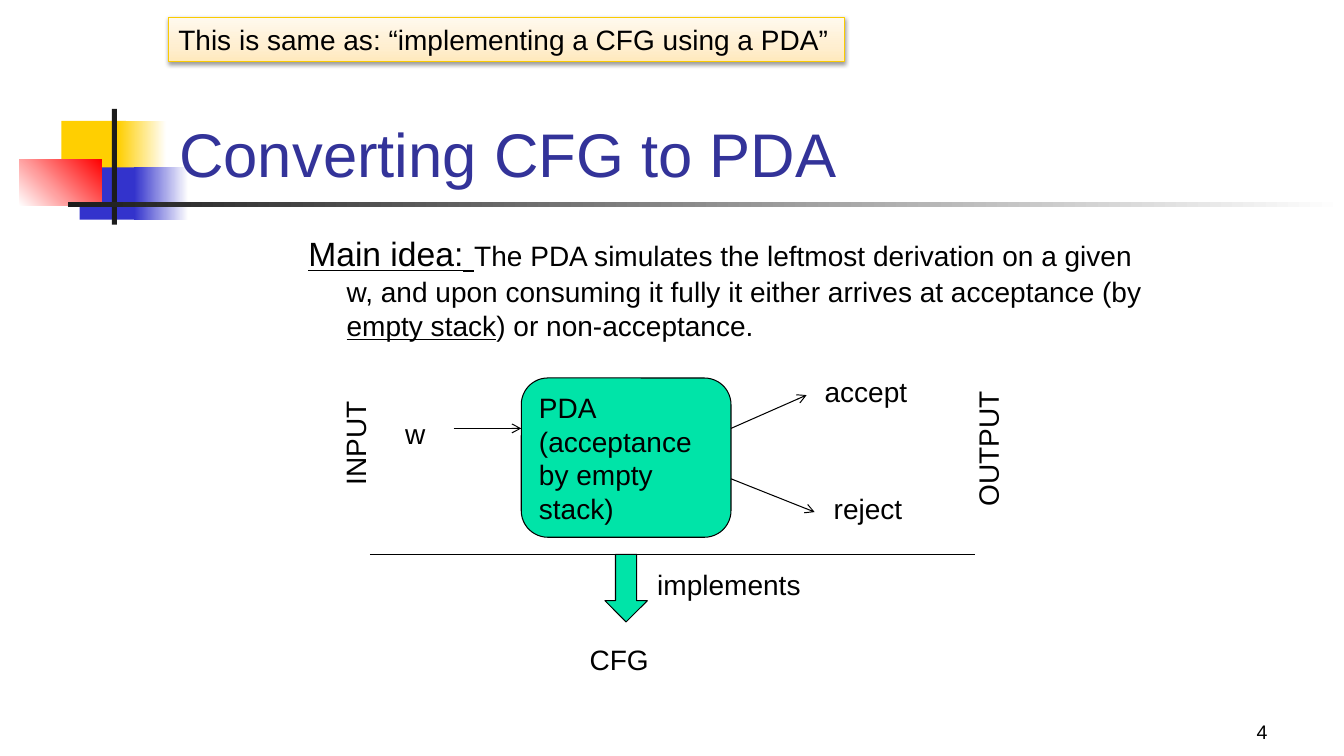
"""Build the slide on converting a context-free grammar to a pushdown automaton."""
import pptx
import pptx.dml.color
import pptx.enum.shapes
import pptx.enum.text
import pptx.oxml
import pptx.oxml.ns
import pptx.util
from lxml import etree

Inches = pptx.util.Inches
Pt = pptx.util.Pt
qn = pptx.oxml.ns.qn
Shape = pptx.enum.shapes.MSO_SHAPE
Anchor = pptx.enum.text.MSO_ANCHOR
Align = pptx.enum.text.PP_ALIGN

BLACK, WHITE, INK = "000000", "FFFFFF", "1C1C1C"
YELLOW, BLUE, RED, GREEN = "FFCF01", "3333CC", "FF0000", "00E4A8"


def rgb(value):
    return pptx.dml.color.RGBColor.from_string(value)


def write(para, text, size=20, color=BLACK, underline=None):
    for position, line in enumerate(text.split("\n")):
        if position:
            para.add_line_break()
        span = para.add_run()
        span.text = line
        span.font.name = "Arial"
        span.font.size = Pt(size)
        span.font.color.rgb = rgb(color)
        span.font.underline = underline


class Page:
    def __init__(self, deck):
        self.shapes = deck.slides.add_slide(deck.slide_layouts[6]).shapes
        self.line_width = Pt(0.75)

    def text(self, place, content="", wrap=False, anchor=Anchor.TOP,
             align=Align.LEFT, rotation=0, **style):
        box = self.shapes.add_textbox(*map(Inches, place))
        box.rotation = rotation
        return self.fill_text(box, content, wrap, anchor, align, **style)

    def fill_text(self, box, content, wrap=True, anchor=Anchor.MIDDLE,
                  align=Align.LEFT, **style):
        frame = box.text_frame
        frame.word_wrap = wrap
        frame.vertical_anchor = anchor
        para = frame.paragraphs[0]
        para.alignment = align
        if content:
            write(para, content, **style)
        return para

    def shape(self, place, fill, kind=Shape.RECTANGLE, line=None):
        shape = self.shapes.add_shape(kind, *map(Inches, place))
        shape.shadow.inherit = False
        shape.fill.solid()
        shape.fill.fore_color.rgb = rgb(fill)
        if line:
            shape.line.color.rgb = rgb(line)
            shape.line.width = self.line_width
        else:
            shape.line.fill.background()
        return shape

    def gradient(self, place, stops, angle=0, line=None):
        shape = self.shape(place, WHITE, line=line)
        shape.fill.gradient()
        shape.fill.gradient_angle = (360 - angle) % 360
        stop_list = shape.element.spPr.find(".//" + qn("a:gsLst"))
        for stop in list(stop_list):
            stop_list.remove(stop)
        for position, color in stops:
            stop = etree.SubElement(stop_list, qn("a:gs"), pos=str(position * 1000))
            etree.SubElement(stop, qn("a:srgbClr"), val=color)
        return shape

    def line(self, start, end, arrow=True):
        line = self.shapes.add_connector(
            pptx.enum.shapes.MSO_CONNECTOR.STRAIGHT, *map(Inches, start + end))
        line.line.color.rgb = rgb(BLACK)
        line.line.width = self.line_width
        if arrow:
            etree.SubElement(line.line._get_or_add_ln(), qn("a:tailEnd"), type="arrow")
        etree.SubElement(line.element.spPr, qn("a:effectLst"))

    def cast_shadow(self, shape):
        effects = shape.element.spPr.find(qn("a:effectLst"))
        shadow = etree.SubElement(
            effects, qn("a:outerShdw"), blurRad=str(Pt(3.1)), dist=str(Pt(1.6)),
            dir="5400000", rotWithShape="0")
        color = etree.SubElement(shadow, qn("a:srgbClr"), val=BLACK)
        etree.SubElement(color, qn("a:alpha"), val="38000")


def draw_ornament(page):
    page.shape((0.61, 1.2, 0.64, 0.52), YELLOW)
    page.gradient((1.17, 1.2, 0.48, 0.52), [(0, YELLOW), (100, WHITE)])
    page.shape((0.79, 1.66, 0.62, 0.52), BLUE)
    page.gradient((1.33, 1.66, 0.54, 0.52), [(0, BLUE), (100, WHITE)])
    page.gradient((0.19, 1.58, 0.82, 0.46), [(0, WHITE), (100, RED)], angle=315)
    page.shape((1.11, 1.08, 0.05, 1.15), INK)
    page.gradient((0.67, 2, 12.66, 0.05), [(0, INK), (100, WHITE)])


def draw_texts(page):
    page.text((9.89, 6.92, 2.78, 0.5), "4", wrap=True, anchor=Anchor.BOTTOM,
              align=Align.RIGHT, size=14)
    page.text((1.68, 0.68, 11.36, 1.25), "Converting CFG to PDA", wrap=True,
              anchor=Anchor.BOTTOM, size=44, color="333399")
    idea = page.text((2.96, 2.21, 8.5, 1.38), wrap=True)
    properties = idea._p.get_or_add_pPr()
    properties.set("marL", str(Inches(0.38)))
    properties.set("indent", str(Inches(-0.38)))
    write(idea, "Main idea:", size=24, underline=True)
    write(idea, " ", size=28, underline=True)
    write(idea, "The PDA simulates the leftmost derivation on a given w, and upon "
                "consuming it fully it either arrives at acceptance (by ")
    write(idea, "empty stack", underline=True)
    write(idea, ") or non-acceptance.")
    callout = page.gradient(
        (1.67, 0.17, 6.71, 0.44), [(0, "FFE9BD"), (35, "FFEFD1"), (100, "FFF9EE")],
        angle=270, line="FACB00")
    page.cast_shadow(callout)
    page.fill_text(callout, "This is same as: “implementing a CFG using a PDA”",
                   wrap=False)


def draw_diagram(page):
    machine = page.shape((5.17, 3.75, 2.08, 1.58), GREEN,
                         Shape.ROUNDED_RECTANGLE, BLACK)
    page.fill_text(machine, "PDA\n(acceptance by empty stack)")
    page.line((4.5, 4.25), (5.17, 4.25))
    page.line((7.25, 4.25), (8, 3.92))
    page.line((7.25, 4.75), (8.08, 5.08))
    page.shape((6, 5.5, 0.42, 0.67), GREEN, Shape.DOWN_ARROW, BLACK)
    page.line((3.67, 5.5), (9.67, 5.5), arrow=False)
    labels = [
        ("CFG", 5.75, 6.33, 0.8, 0),
        ("w", 3.92, 4.08, 0.4, 0),
        ("accept", 8.08, 3.67, 1.03, 0),
        ("reject", 8.17, 4.83, 0.89, 0),
        ("implements", 6.42, 5.58, 1.64, 0),
        ("INPUT", 3, 4.17, 1.05, 270),
        ("OUTPUT", 9.12, 4.22, 1.36, 270),
    ]
    for label, left, top, width, rotation in labels:
        page.text((left, top, width, 0.44), label, rotation=rotation)


def main():
    deck = pptx.Presentation()
    deck.slide_width, deck.slide_height = Inches(13.33), Inches(7.5)
    page = Page(deck)
    draw_ornament(page)
    draw_texts(page)
    draw_diagram(page)
    deck.save("out.pptx")


if __name__ == "__main__":
    main()
